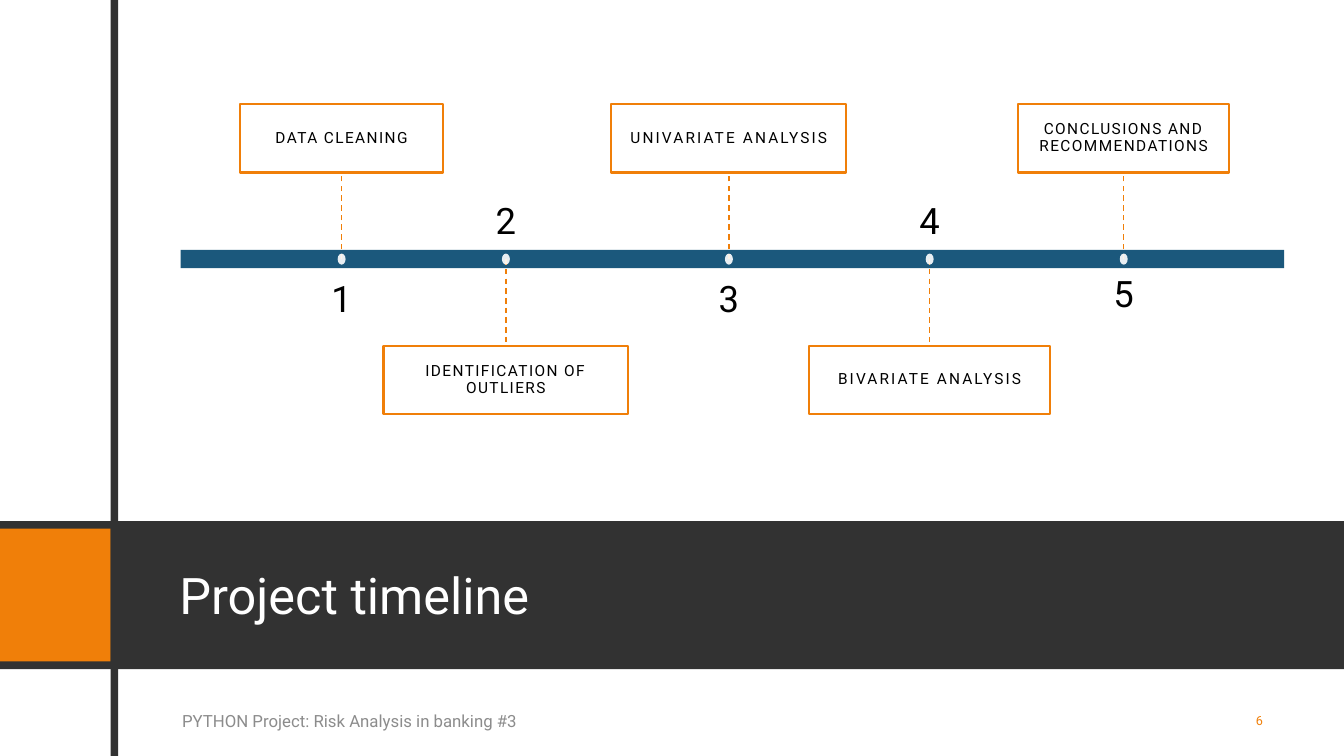
from pptx import Presentation
from pptx.dml.color import RGBColor
from pptx.enum.dml import MSO_LINE
from pptx.enum.shapes import MSO_CONNECTOR, MSO_SHAPE
from pptx.enum.text import MSO_ANCHOR, PP_ALIGN
from pptx.oxml.ns import qn
from pptx.util import Cm, Pt
from lxml import etree

RECTANGLE, OVAL = MSO_SHAPE.RECTANGLE, MSO_SHAPE.OVAL
STRAIGHT, DASH = MSO_CONNECTOR.STRAIGHT, MSO_LINE.DASH
TOP, MIDDLE, BOTTOM = MSO_ANCHOR.TOP, MSO_ANCHOR.MIDDLE, MSO_ANCHOR.BOTTOM
LEFT, CENTER, RIGHT = PP_ALIGN.LEFT, PP_ALIGN.CENTER, PP_ALIGN.RIGHT

FONT = "Roboto"
WHITE, BLACK, GRAY = "FFFFFF", "000000", "8C8C8C"
DARK, ORANGE, BLUE = "323232", "F07F09", "1B587C"
WIDTH, HEIGHT = 33.87, 19.05
SIDEBAR, RULE = 2.79, 0.19

MILESTONES = [
    (8.61, 5.13, "DATA CLEANING", 1, 1),
    (12.75, 6.17, "IDENTIFICATION OF OUTLIERS", 1, 1),
    (18.37, 5.92, "UNIVARIATE ANALYSIS", 1.5, 1),
    (23.43, 6.07, "BIVARIATE ANALYSIS", 1.5, 0.9),
    (28.32, 5.33, "CONCLUSIONS AND RECOMMENDATIONS", 1, 0.9),
]


def color(hex_value):
    return RGBColor.from_string(hex_value)


def add_block(slide, kind, box, fill, opacity=100, outline=None):
    shape = slide.shapes.add_shape(kind, *map(Cm, box))
    shape.shadow.inherit = False
    shape.fill.solid()
    shape.fill.fore_color.rgb = color(fill)
    if opacity < 100:
        fill_color = shape.element.spPr.find(qn("a:solidFill"))[0]
        etree.SubElement(fill_color, qn("a:alpha")).set("val", str(opacity * 1000))
    if outline:
        shape.line.color.rgb = color(outline)
        shape.line.width = Pt(1.5)
    else:
        shape.line.fill.background()
    return shape


def write(shape, text, size, font_color, align, anchor, margins=(0.25, 0.13),
          line_spacing=1, letter_spacing=0):
    frame = shape.text_frame
    frame.word_wrap = True
    frame.vertical_anchor = anchor
    frame.margin_left = frame.margin_right = Cm(margins[0])
    frame.margin_top = frame.margin_bottom = Cm(margins[1])
    paragraph = frame.paragraphs[0]
    paragraph.alignment = align
    paragraph.line_spacing = line_spacing
    run = paragraph.add_run()
    run.text = text
    run.font.name = FONT
    run.font.size = Pt(size)
    run.font.color.rgb = color(font_color)
    if letter_spacing:
        run.font._element.set("spc", str(int(letter_spacing * 100)))


def add_text(slide, box, *args, **options):
    write(slide.shapes.add_textbox(*map(Cm, box)), *args, **options)


def add_dashed_line(slide, x, start, end):
    connector = slide.shapes.add_connector(STRAIGHT, Cm(x), Cm(start), Cm(x), Cm(end))
    connector.line.color.rgb = color(ORANGE)
    connector.line.width = Pt(1)
    connector.line.dash_style = DASH
    etree.SubElement(connector.element.spPr, qn("a:effectLst"))


def add_title_band(slide, box):
    left, top, width, height = box
    add_block(slide, RECTANGLE, box, DARK)
    add_block(slide, RECTANGLE, (left, top + RULE, SIDEBAR, height - 2 * RULE), ORANGE)
    add_block(slide, RECTANGLE, (left + SIDEBAR, 0, RULE, HEIGHT), DARK)
    title = slide.shapes.title
    title.left, title.top = Cm(left + 4.27), Cm(top + 0.84)
    title.width, title.height = Cm(27.81), Cm(2.44)
    write(title, "Project timeline", 36, WHITE, LEFT, TOP, (0.25, 0.25))
    title.element.getparent().append(title.element)


def add_milestone(slide, number, middle, milestone):
    center, width, label, label_spacing, line_spacing = milestone
    above = number % 2 == 1
    reach, height = 2.18, 1.73
    number_width, number_height, number_gap = 7.42, 1.3, 0.43
    card_top = middle - reach - height if above else middle + reach
    number_top = middle + number_gap if above else middle - number_gap - number_height
    dot_width, dot_height = 0.2, 0.28

    add_dashed_line(slide, center, middle, middle - reach if above else middle + reach)
    card = add_block(slide, RECTANGLE, (center - width / 2, card_top, width, height),
                     WHITE, 90, ORANGE)
    write(card, label, 11, BLACK, CENTER, MIDDLE, (0.41, 0.1), 0.9, label_spacing)
    add_text(slide, (center - number_width / 2, number_top, number_width, number_height),
             str(number), 26, BLACK, CENTER, TOP if above else BOTTOM, (0, 0),
             line_spacing, 1)
    add_block(slide, OVAL, (center - dot_width / 2, middle - dot_height / 2,
                            dot_width, dot_height), WHITE, 90)


def add_timeline(slide, box):
    left, top, width, height = box
    add_block(slide, RECTANGLE, box, BLUE)
    for number, milestone in enumerate(MILESTONES, 1):
        add_milestone(slide, number, top + height / 2, milestone)


def add_footer(slide, box):
    left, top, width, height = box
    number_width = 2.72
    add_text(slide, (left, top, 15.77, height),
             "PYTHON Project: Risk Analysis in banking #3", 12, GRAY, LEFT, MIDDLE)
    add_text(slide, (left + width - number_width, top, number_width, height),
             "6", 9, ORANGE, RIGHT, MIDDLE)


def main():
    presentation = Presentation()
    presentation.slide_width, presentation.slide_height = Cm(WIDTH), Cm(HEIGHT)
    slide = presentation.slides.add_slide(presentation.slide_layouts[5])
    add_title_band(slide, (0, 13.13, WIDTH, 3.73))
    add_timeline(slide, (4.55, 6.3, 27.81, 0.46))
    add_footer(slide, (4.34, 17.53, 27.74, 1.27))
    presentation.save("out.pptx")


if __name__ == "__main__":
    main()
